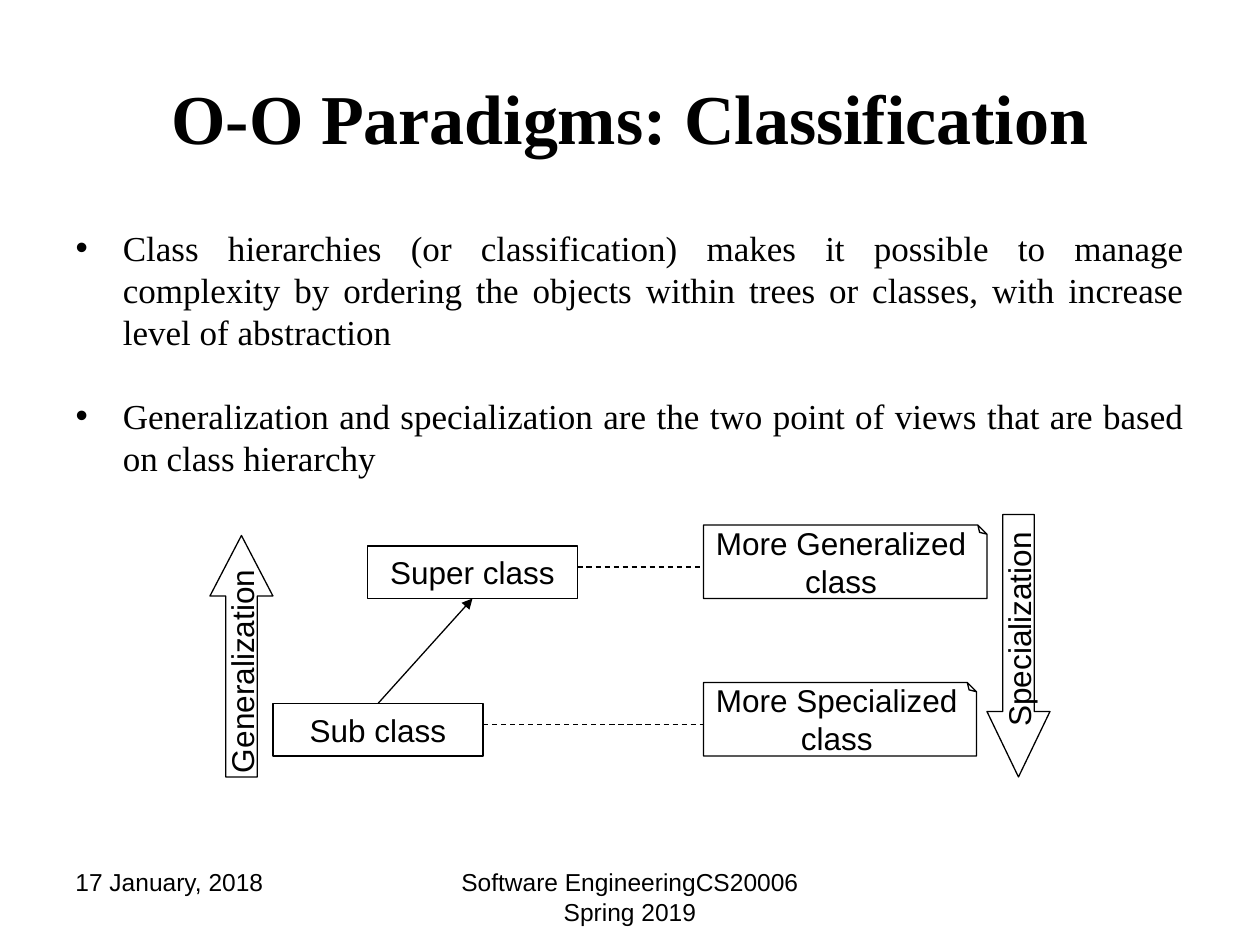
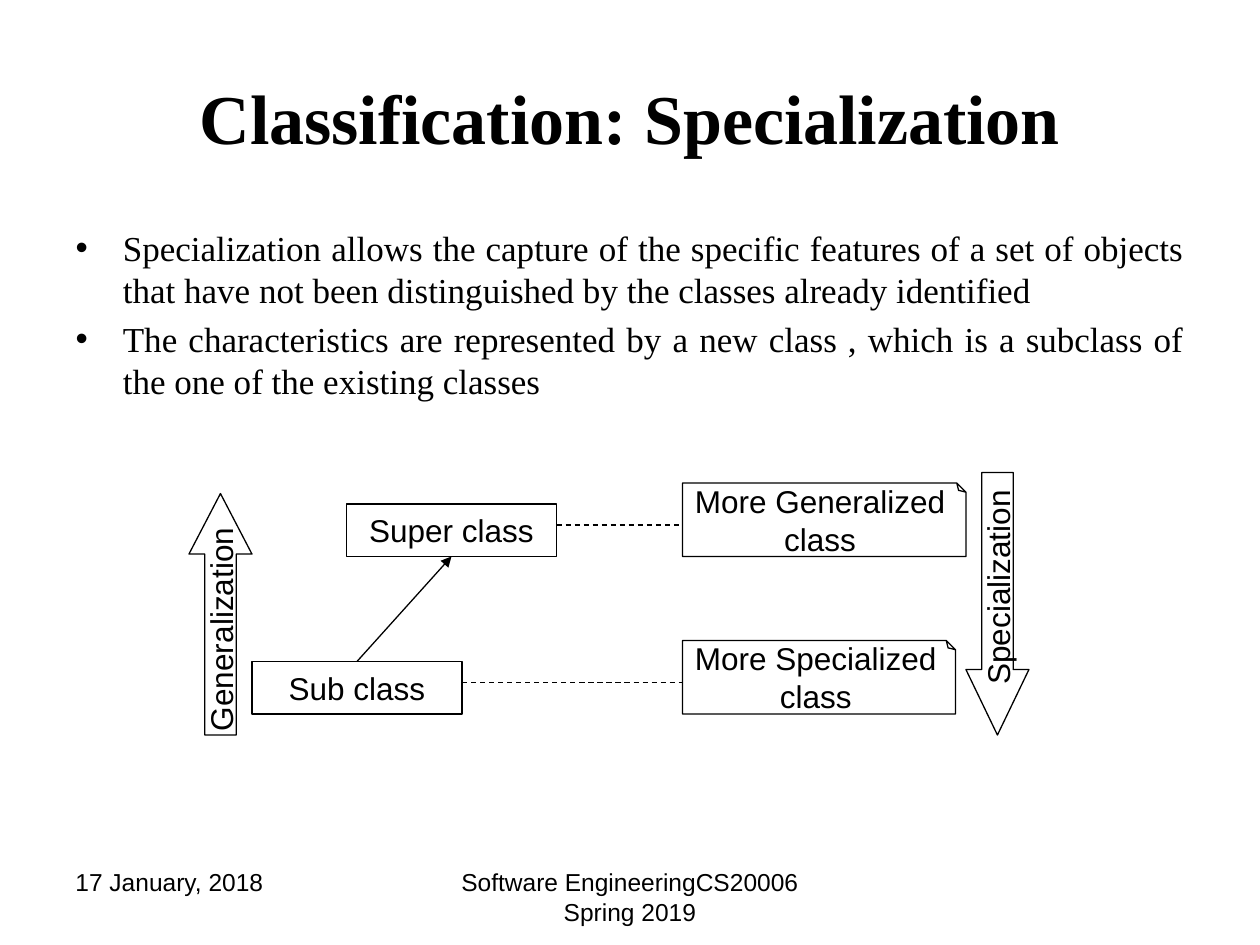
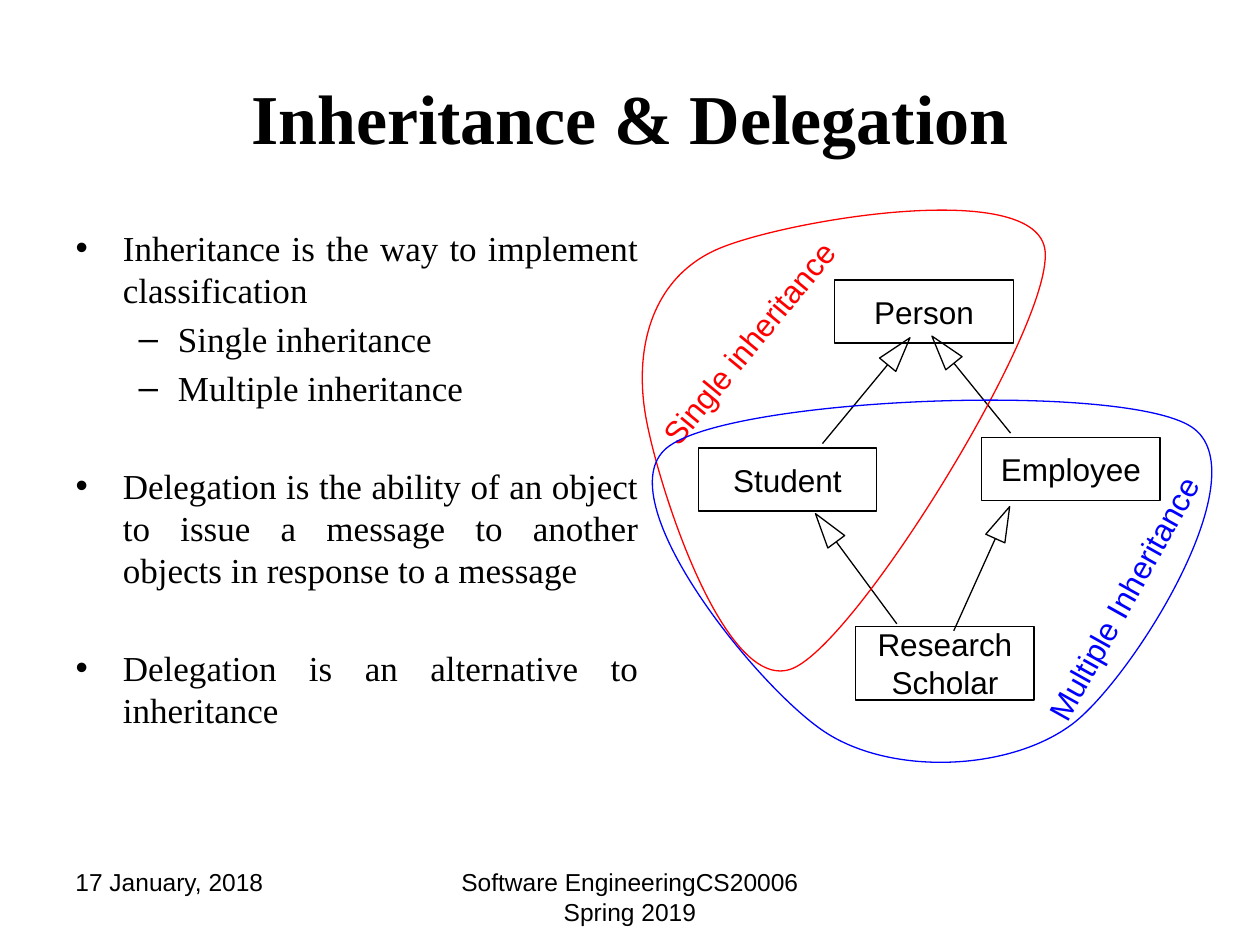
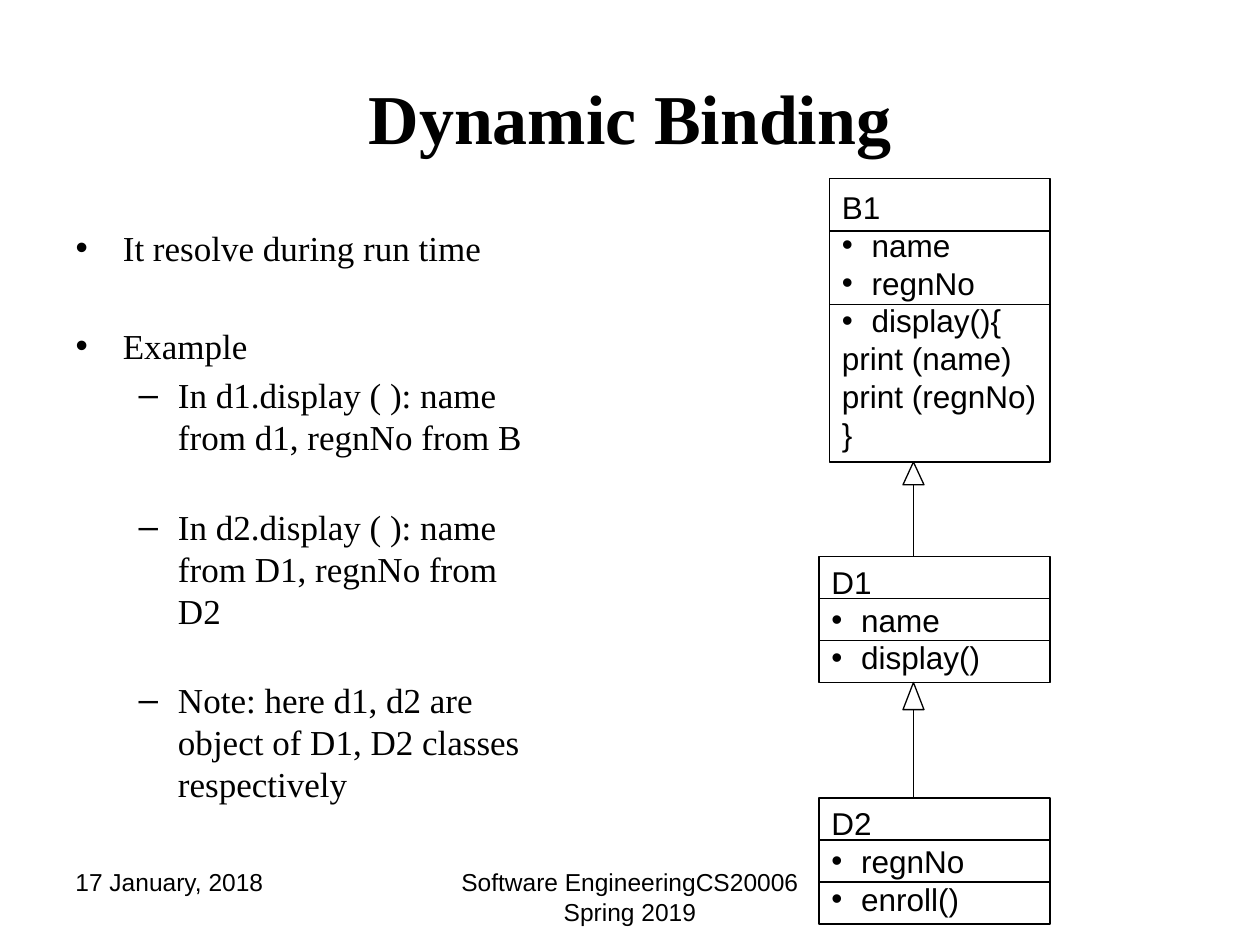
import math

import lxml.etree
import pptx
import pptx.dml.color
import pptx.enum.dml
import pptx.enum.shapes
import pptx.enum.text
import pptx.oxml.ns
import pptx.util

Pt = pptx.util.Pt
qn = pptx.oxml.ns.qn
SHAPE = pptx.enum.shapes.MSO_SHAPE
ALIGN = pptx.enum.text.PP_ALIGN

COLORS = {"ink": "000000", "single": "FF0000", "multiple": "0000FF"}
SERIF, SANS = "Times New Roman", "Arial"
LINE_WIDTH = 0.75
TITLE_BOX = (36, 21.6, 648, 90)
DATE_BOX = (36, 492, 168, 37.5)
COURSE_BOX = (246, 492, 228, 37.5)
BODY_LEFT, BODY_TOP, BODY_HEIGHT = 36, 126, 356.4
BULLET_INDENT = 17


def rgb(color):
    return pptx.dml.color.RGBColor.from_string(COLORS[color])


def lengths(values):
    return [Pt(value) for value in values]


def shifted(origin, box):
    return (origin[0] + box[0], origin[1] + box[1], *box[2:])


def set_font(paragraph, size, name, color="ink", bold=None):
    font = paragraph.font
    font.size = Pt(size)
    font.name = name
    font.bold = bold
    font.color.rgb = rgb(color)


def move(placeholder, box):
    placeholder.left, placeholder.top, placeholder.width, placeholder.height = lengths(box)


def outline(shape, color="ink"):
    shape.shadow.inherit = False
    shape.fill.background()
    shape.line.color.rgb = rgb(color)
    shape.line.width = Pt(LINE_WIDTH)


def add_bullet(paragraph):
    properties = paragraph._p.get_or_add_pPr()
    properties.set("marL", str(Pt(BULLET_INDENT)))
    properties.set("indent", str(Pt(-BULLET_INDENT)))
    lxml.etree.SubElement(properties, qn("a:buFont")).set("typeface", SANS)
    lxml.etree.SubElement(properties, qn("a:buChar")).set("char", "•")


def add_outlined(slide, kind, box, lines=(), align=ALIGN.CENTER, bulleted=()):
    shape = slide.shapes.add_shape(kind, *lengths(box))
    outline(shape)
    if lines:
        frame = shape.text_frame
        frame.text = "\n".join(lines)
        frame.word_wrap = False
        frame.vertical_anchor = pptx.enum.text.MSO_ANCHOR.MIDDLE
        for paragraph in frame.paragraphs:
            paragraph.alignment = align
            if paragraph.text in bulleted:
                add_bullet(paragraph)
            set_font(paragraph, 18, SANS)
    return shape


def add_upended(slide, kind, box, lines, adjustments):
    left, top, width, height = box
    turned = (left + (width - height) / 2, top + (height - width) / 2, height, width)
    shape = add_outlined(slide, kind, turned, lines)
    shape.rotation = 270
    guides = next(shape._element.iter(qn("a:prstGeom"))).get_or_add_avLst()
    for guide in list(guides):
        guides.remove(guide)
    for name, value in adjustments.items():
        guide = lxml.etree.SubElement(guides, qn("a:gd"))
        guide.set("name", name)
        guide.set("fmla", f"val {round(value * 100000)}")
    return shape


def add_line(slide, start, end, dashed=False):
    line = slide.shapes.add_connector(
        pptx.enum.shapes.MSO_CONNECTOR.STRAIGHT, *lengths((*start, *end)))
    line.line.color.rgb = rgb("ink")
    line.line.width = Pt(LINE_WIDTH)
    if dashed:
        line.line.dash_style = pptx.enum.dml.MSO_LINE.DASH
    lxml.etree.SubElement(line._element.spPr, qn("a:effectLst"))
    return line


def add_inheritance_arrow(slide, child, parent, head_length=20, head_width=12):
    dx, dy = parent[0] - child[0], parent[1] - child[1]
    distance = math.hypot(dx, dy)
    ux, uy = dx / distance, dy / distance
    center_x = parent[0] - ux * head_length / 2
    center_y = parent[1] - uy * head_length / 2
    head = add_outlined(slide, SHAPE.FLOWCHART_EXTRACT, (
        center_x - head_width / 2, center_y - head_length / 2, head_width, head_length))
    head.rotation = math.degrees(math.atan2(dx, -dy)) % 360
    base = (parent[0] - ux * head_length, parent[1] - uy * head_length)
    add_line(slide, base, child)


def add_region(slide, origin, points, color):
    corners = [lengths(shifted(origin, point)) for point in points]
    builder = slide.shapes.build_freeform(*corners[0])
    builder.add_line_segments(corners[1:] + corners[:1], close=True)
    region = builder.convert_to_shape()
    outline(region, color)
    contour = next(region._element.iter(qn("a:path")))
    steps = contour.findall(qn("a:lnTo"))
    for first in range(0, len(steps), 3):
        curve = lxml.etree.Element(qn("a:cubicBezTo"))
        steps[first].addprevious(curve)
        for step in steps[first:first + 3]:
            curve.append(step[0])
            contour.remove(step)


def add_text(slide, box, text, size, color="ink", align=ALIGN.LEFT, wrap=True):
    label = slide.shapes.add_textbox(*lengths(box))
    label.text_frame.word_wrap = wrap
    paragraph = label.text_frame.paragraphs[0]
    paragraph.text = text
    paragraph.alignment = align
    set_font(paragraph, size, SANS, color)
    return label


def add_region_label(slide, box, text, color, rotation):
    label = add_text(slide, box, text, 18, color, wrap=False)
    label.text_frame.auto_size = pptx.enum.text.MSO_AUTO_SIZE.SHAPE_TO_FIT_TEXT
    label.rotation = rotation


def add_content_slide(deck, title, points, body_width=648, align=ALIGN.JUSTIFY):
    slide = deck.slides.add_slide(deck.slide_layouts[1])
    add_text(slide, DATE_BOX, "17 January, 2018", 14)
    add_text(slide, COURSE_BOX, "Software EngineeringCS20006 Spring 2019", 14,
             align=ALIGN.CENTER)

    heading = slide.shapes.title
    move(heading, TITLE_BOX)
    heading.text_frame.text = title
    set_font(heading.text_frame.paragraphs[0], 40, SERIF, bold=True)

    body = slide.placeholders[1]
    move(body, (BODY_LEFT, BODY_TOP, body_width, BODY_HEIGHT))
    body.text_frame.text = "\n".join(text for level, gap, text in points)
    for paragraph, (level, gap, text) in zip(body.text_frame.paragraphs, points):
        paragraph.level = level
        paragraph.alignment = align
        if gap:
            paragraph.space_before = Pt(gap)
        set_font(paragraph, 20, SERIF)
    return slide


def draw_classification(slide, origin):
    def place(*box):
        return shifted(origin, box)

    super_class = add_outlined(slide, SHAPE.RECTANGLE, place(90, 18, 120, 30), ["Super class"])
    sub_class = add_outlined(slide, SHAPE.RECTANGLE, place(36, 108, 120, 30), ["Sub class"])
    derivation = add_line(slide, place(96, 108), place(150, 48))
    derivation.begin_connect(sub_class, 0)
    derivation.end_connect(super_class, 2)
    arrowhead = lxml.etree.SubElement(derivation.line._get_or_add_ln(), qn("a:tailEnd"))
    arrowhead.set("type", "triangle")

    for degree, top, width in (("Generalized", 6, 162), ("Specialized", 96, 156)):
        note = add_upended(slide, SHAPE.FOLDED_CORNER, place(282, top, width, 42),
                           [f"More {degree}", "class"], {"adj": 0.125})
        note.text_frame._txBody.bodyPr.set("vert", "eaVert")
    for left, level in ((210, 30), (156, 120)):
        add_line(slide, place(left, level), place(282, level), dashed=True)

    add_upended(slide, SHAPE.RIGHT_ARROW, place(0, 12, 36, 138), ["Generalization"],
                {"adj1": 0.5, "adj2": 0.96})
    add_upended(slide, SHAPE.LEFT_ARROW, place(444, 0, 36, 150), ["Specialization"],
                {"adj1": 0.5, "adj2": 1.04})


def draw_inheritance(slide, origin):
    def place(*box):
        return shifted(origin, box)

    for left, top, height, lines in (
        (117, 60, 36, ["Person"]),
        (129, 258, 42, ["Research", "Scholar"]),
        (201, 150, 36, ["Employee"]),
        (39, 156, 36, ["Student"]),
    ):
        add_outlined(slide, SHAPE.RECTANGLE, place(left, top, 102, height), lines)

    for child, parent in (
        ((217.5, 147.5), (172.5, 92)),
        ((152.5, 256.5), (106, 193.5)),
        ((185, 260.5), (217, 189.5)),
        ((110, 153.5), (160, 93)),
    ):
        add_inheritance_arrow(slide, place(*child), place(*parent))

    add_region(slide, origin, [
        (51, 42), (89, 26), (229.5, 2), (237, 42), (244, 82), (131, 266),
        (93, 282), (54.5, 298), (16, 178), (9, 138), (2, 98), (13, 58)], "single")
    add_region_label(slide, place(-11, 81, 158, 29), "Single inheritance", "single", 309.4)
    add_region(slide, origin, [
        (111, 318), (150, 344), (220, 340.5), (255, 312), (290, 283), (360, 170),
        (321, 144), (282, 118), (56, 127), (21, 156), (-14, 185), (72, 292)], "multiple")
    add_region_label(slide, place(196.5, 227, 171, 29), "Multiple Inheritance", "multiple", 299.2)


def draw_class(slide, box, lines, bulleted, dividers):
    left, top, width, height = box
    add_outlined(slide, SHAPE.RECTANGLE, box, lines, ALIGN.LEFT, bulleted)
    for offset in dividers:
        add_line(slide, (left, top + offset), (left + width, top + offset))


def draw_binding(slide, origin):
    def place(*box):
        return shifted(origin, box)

    draw_class(slide, place(6, 0, 126, 162),
               ["B1", "name", "regnNo", "display(){", "print (name)", "print (regnNo)", "}"],
               ["name", "regnNo", "display(){"], (30, 72))
    for top, lines in ((216, ["D1", "name", "display()"]), (354, ["D2", "regnNo", "enroll()"])):
        draw_class(slide, place(0, top, 132, 72), lines, lines[1:], (24, 48))
    for child, parent, head_length in ((216, 162, 13), (354, 288, 15.5)):
        add_inheritance_arrow(slide, place(54, child), place(54, parent), head_length)


def main():
    deck = pptx.Presentation()
    deck.slide_width, deck.slide_height = Pt(720), Pt(540)

    classification = add_content_slide(deck, "O-O Paradigms: Classification", [
        (0, None, "Class hierarchies (or classification) makes it possible to manage complexity "
                  "by ordering the objects within trees or classes, with increase level of "
                  "abstraction"),
        (0, 24, "Generalization and specialization are the two point of views that are based "
                "on class hierarchy"),
    ])
    draw_classification(classification, (120, 294))

    specialization = add_content_slide(deck, "Classification: Specialization", [
        (0, None, "Specialization allows the capture of the specific features of a set of "
                  "objects that have not been distinguished by the classes already identified"),
        (0, None, "The characteristics are represented by a new class , which is a subclass "
                  "of the one of the existing classes"),
    ])
    draw_classification(specialization, (108, 270))

    inheritance = add_content_slide(deck, "Inheritance & Delegation", [
        (0, None, "Inheritance is the way to implement classification"),
        (1, None, "Single inheritance"),
        (1, None, "Multiple inheritance"),
        (0, 32, "Delegation is the ability of an object to issue a message to another objects "
                "in response to a message"),
        (0, 32, "Delegation is an alternative to inheritance"),
    ], body_width=336)
    draw_inheritance(inheritance, (360, 100))

    binding = add_content_slide(deck, "Dynamic Binding", [
        (0, None, "It resolve during run time"),
        (0, 32, "Example"),
        (1, None, "In d1.display ( ): name from d1, regnNo from B"),
        (1, 27, "In d2.display ( ): name from D1, regnNo from D2"),
        (1, 27, "Note: here d1, d2 are object of D1, D2 classes respectively"),
    ], body_width=276, align=ALIGN.LEFT)
    draw_binding(binding, (468, 102))

    deck.save("out.pptx")


if __name__ == "__main__":
    main()
